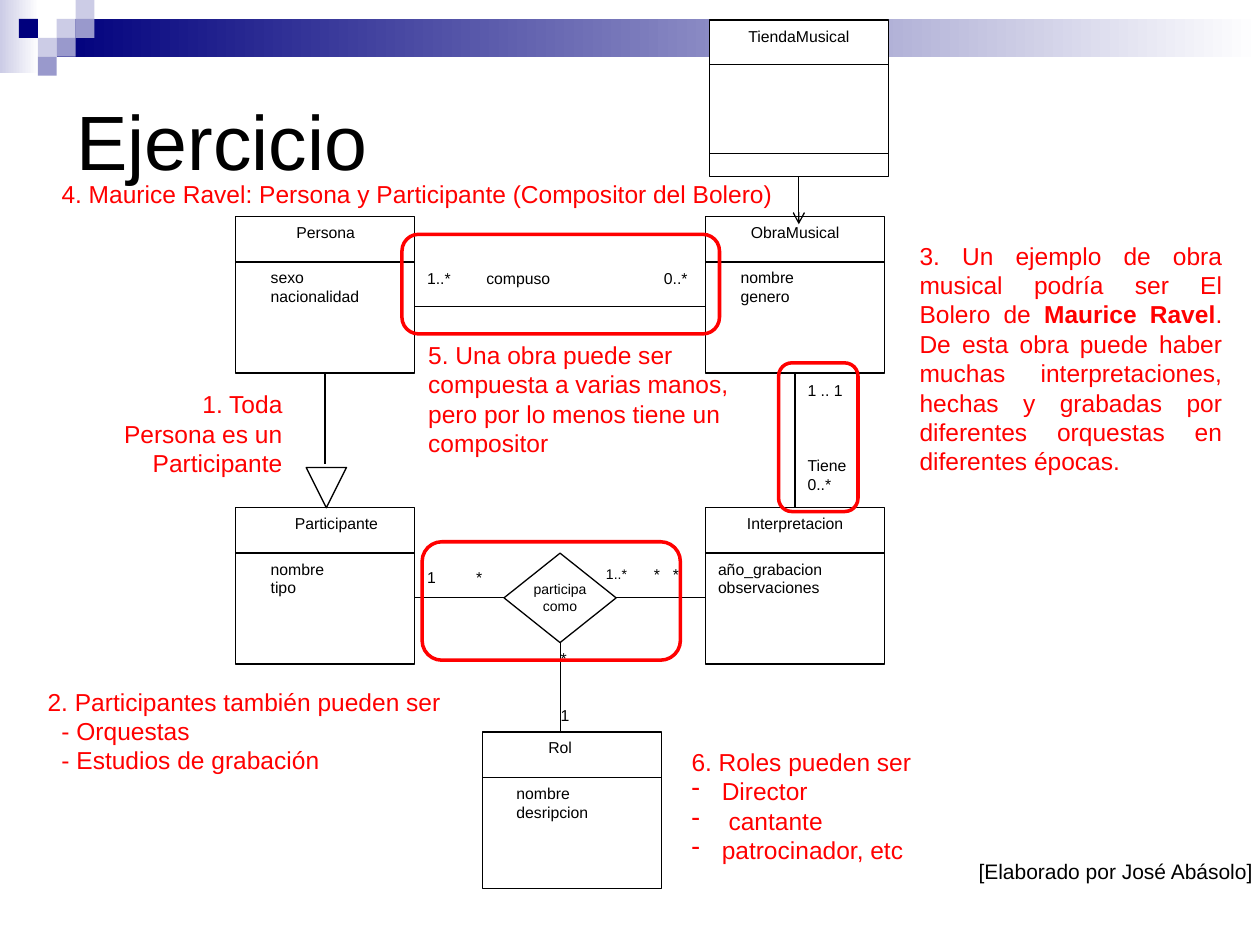
import pptx
import pptx.util
import pptx.dml.color
import pptx.enum.shapes
import pptx.enum.text
import lxml.etree

Inches, Pt = pptx.util.Inches, pptx.util.Pt
RGBColor = pptx.dml.color.RGBColor
SHAPE = pptx.enum.shapes.MSO_SHAPE
ALIGN = pptx.enum.text.PP_ALIGN
ANCHOR = pptx.enum.text.MSO_ANCHOR
qn = pptx.oxml.ns.qn

BLACK = RGBColor(0x00, 0x00, 0x00)
WHITE = RGBColor(0xFF, 0xFF, 0xFF)
RED = RGBColor(0xFF, 0x00, 0x00)
NAVY = RGBColor(0x00, 0x00, 0x7D)
LAVENDER = RGBColor(0xCC, 0xCC, 0xE6)
PERIWINKLE = RGBColor(0x99, 0x99, 0xCC)

deck = pptx.Presentation()
deck.slide_width, deck.slide_height = Inches(10), Inches(7.5)
slide = deck.slides.add_slide(deck.slide_layouts[6])


def add_shape(kind, at, fill=None, line=None, width=0.75):
    shape = slide.shapes.add_shape(kind, *map(Inches, at))
    shape.shadow.inherit = False
    if fill is None:
        shape.fill.background()
    else:
        shape.fill.solid()
        shape.fill.fore_color.rgb = fill
    if line is None:
        shape.line.fill.background()
    else:
        shape.line.color.rgb = line
        shape.line.width = Pt(width)
    return shape


def add_text(at, paragraphs, size, color=BLACK, align=ALIGN.LEFT,
             anchor=ANCHOR.TOP, wrap=True, inset=True):
    """Each paragraph is a string or a list of (text, bold) runs."""
    box = slide.shapes.add_textbox(*map(Inches, at))
    frame = box.text_frame
    frame.word_wrap = wrap
    frame.vertical_anchor = anchor
    if not inset:
        frame.margin_left = frame.margin_right = 0
        frame.margin_top = frame.margin_bottom = 0
    for i, runs in enumerate(paragraphs):
        paragraph = frame.add_paragraph() if i else frame.paragraphs[0]
        paragraph.alignment = align
        paragraph.line_spacing = Pt(round(size * 1.2, 1))
        for text, bold in [(runs, False)] if isinstance(runs, str) else runs:
            run = paragraph.add_run()
            run.text = text
            run.font.name = "Arial"
            run.font.size = Pt(size)
            run.font.bold = bold
            run.font.color.rgb = color
    return box


# Header bands and squares
for at, start in [((0, 0, 0.31, 0.58), LAVENDER), ((0.45, 0.15, 9.55, 0.3), NAVY)]:
    band = add_shape(SHAPE.RECTANGLE, at, WHITE)
    band.fill.gradient()
    band.fill.gradient_angle = 0
    for stop, color in zip(band.fill.gradient_stops, (start, WHITE)):
        stop.color.rgb = color

SQUARE = 0.15
for column, row, color in [(3, 1, LAVENDER), (4, 0, LAVENDER), (4, 1, PERIWINKLE),
                           (2, 2, LAVENDER), (1, 1, NAVY), (3, 2, PERIWINKLE),
                           (2, 3, PERIWINKLE)]:
    add_shape(SHAPE.RECTANGLE, (column * SQUARE, row * SQUARE, SQUARE, SQUARE), color)

add_text((0.51, 0.36, 9, 1.5), ["Ejercicio"], 44, anchor=ANCHOR.MIDDLE)

# Classes: left, top, name, name offset, name width, attributes, attribute offset
CLASS_W, CLASS_H, NAME_H = 1.42, 1.24, 0.36
classes = [
    (1.87, 1.72, "Persona", 0.18, 1.07, ["sexo", "nacionalidad"], 0.18),
    (5.6, 1.72, "ObraMusical", 0, 1.42, ["nombre", "genero"], 0.18),
    (1.87, 4.03, "Participante", 0.18, 1.24, ["nombre", "tipo"], 0.18),
    (5.6, 4.03, "Interpretacion", 0, 1.42, ["año_grabacion", "observaciones"], 0),
    (3.83, 5.81, "Rol", 0.17, 0.89, ["nombre", "desripcion"], 0.17),
    (5.63, 0.16, "TiendaMusical", 0, 1.42, [], 0),
]
links = []
for left, top, name, name_dx, name_w, attributes, attr_dx in classes:
    add_shape(SHAPE.FLOWCHART_PROCESS, (left, top, CLASS_W, CLASS_H), WHITE, BLACK)
    add_text((left + name_dx, top, name_w, NAME_H), [name], 9, align=ALIGN.CENTER)
    if attributes:
        links.append((left, top + NAME_H, left + CLASS_W, top + NAME_H, False))
        add_text((left + attr_dx, top + NAME_H, CLASS_W - attr_dx, 0.71), attributes, 9)
add_shape(SHAPE.RECTANGLE, (5.63, 0.51, CLASS_W, 0.71), None, BLACK)

# Inheritance triangle and ternary association
add_shape(SHAPE.FLOWCHART_MERGE, (2.43, 3.71, 0.32, 0.32), WHITE, BLACK)
add_shape(SHAPE.FLOWCHART_DECISION, (4, 4.39, 0.89, 0.71), WHITE, BLACK)
add_text((4, 4.56, 0.89, 0.71), ["participa como"], 8, align=ALIGN.CENTER)

# Dividers and links; the last one carries an arrowhead
links += [
    (2.58, 2.97, 2.58, 3.68, False),
    (3.29, 2.43, 5.6, 2.43, False),
    (6.31, 2.97, 6.31, 4.03, False),
    (5.6, 4.74, 4.89, 4.74, False),
    (3.29, 4.74, 4, 4.74, False),
    (4.45, 5.1, 4.45, 5.81, False),
    (6.34, 1.4, 6.34, 1.78, True),
]
for x1, y1, x2, y2, arrow in links:
    link = slide.shapes.add_connector(pptx.enum.shapes.MSO_CONNECTOR.STRAIGHT,
                                      *map(Inches, (x1, y1, x2, y2)))
    link.line.color.rgb = BLACK
    link.line.width = Pt(0.75)
    if arrow:
        lxml.etree.SubElement(link.line._get_or_add_ln(), qn("a:tailEnd"), type="arrow")
    lxml.etree.SubElement(link._element.spPr, qn("a:effectLst"))

# Role names and multiplicities
for left, top, label, size in [
    (3.39, 2.13, "1..*", 9), (3.86, 2.13, "compuso", 9), (5.27, 2.13, "0..*", 9),
    (6.41, 3.02, "1 .. 1", 9), (6.41, 3.62, "Tiene", 9), (6.41, 3.77, "0..*", 9),
    (3.39, 4.51, "1", 9), (3.78, 4.51, "*", 9),
    (4.81, 4.49, "1..*", 8), (5.19, 4.48, "*", 9), (5.34, 4.48, "*", 9),
    (4.45, 5.15, "*", 9), (4.45, 5.6, "1", 9),
]:
    add_text((left, top, 0.6, 0.15), [label], size, wrap=False, inset=False)

add_text((7.27, 6.56, 3.17, 0.5), ["[Elaborado por José Abásolo]"], 12,
         align=ALIGN.CENTER, anchor=ANCHOR.BOTTOM)

# Red notes
add_text((0.75, 3.04, 1.59, 0.81), ["1. Toda Persona es un Participante"], 14, RED,
         ALIGN.RIGHT)
participants = add_text((0.28, 5.4, 3.33, 1.11),
                        ["2. Participantes también pueden ser", "- Orquestas",
                         "- Estudios de grabación"], 14, RED, wrap=False)
participants.fill.solid()
participants.fill.fore_color.rgb = WHITE
for paragraph in participants.text_frame.paragraphs[1:]:
    paragraph._p.get_or_add_pPr().set("marL", str(Inches(0.11)))
add_text((7.2, 1.86, 2.6, 2.05),
         [[("3. Un ejemplo de obra musical podría ser El Bolero de ", False),
           ("Maurice Ravel", True),
           (". De esta obra puede haber muchas interpretaciones, hechas y grabadas "
            "por diferentes orquestas en diferentes épocas.", False)]],
         14, RED, ALIGN.JUSTIFY)
add_text((0.39, 1.37, 5.87, 0.34),
         ["4. Maurice Ravel: Persona y Participante (Compositor del Bolero)"],
         14, RED, wrap=False)
add_text((3.3, 2.65, 2.72, 1.04),
         ["5. Una obra puede ser compuesta a varias manos, pero por lo menos tiene "
          "un compositor"], 14, RED)
roles = add_text((5.39, 5.88, 1.97, 1.04),
                 ["6. Roles pueden ser", "Director", " cantante", "patrocinador, etc"],
                 14, RED)
for paragraph in roles.text_frame.paragraphs[1:]:
    properties = paragraph._p.get_or_add_pPr()
    properties.set("marL", str(Inches(0.24)))
    properties.set("indent", str(Inches(-0.24)))
    lxml.etree.SubElement(properties, qn("a:buChar"), char="-")

# Red frames around the associations
for at in [(6.18, 2.88, 0.63, 1.18), (3.19, 1.86, 2.52, 0.79), (3.35, 4.3, 2.05, 0.94)]:
    add_shape(SHAPE.ROUNDED_RECTANGLE, at, None, RED, 2)

deck.save("out.pptx")
